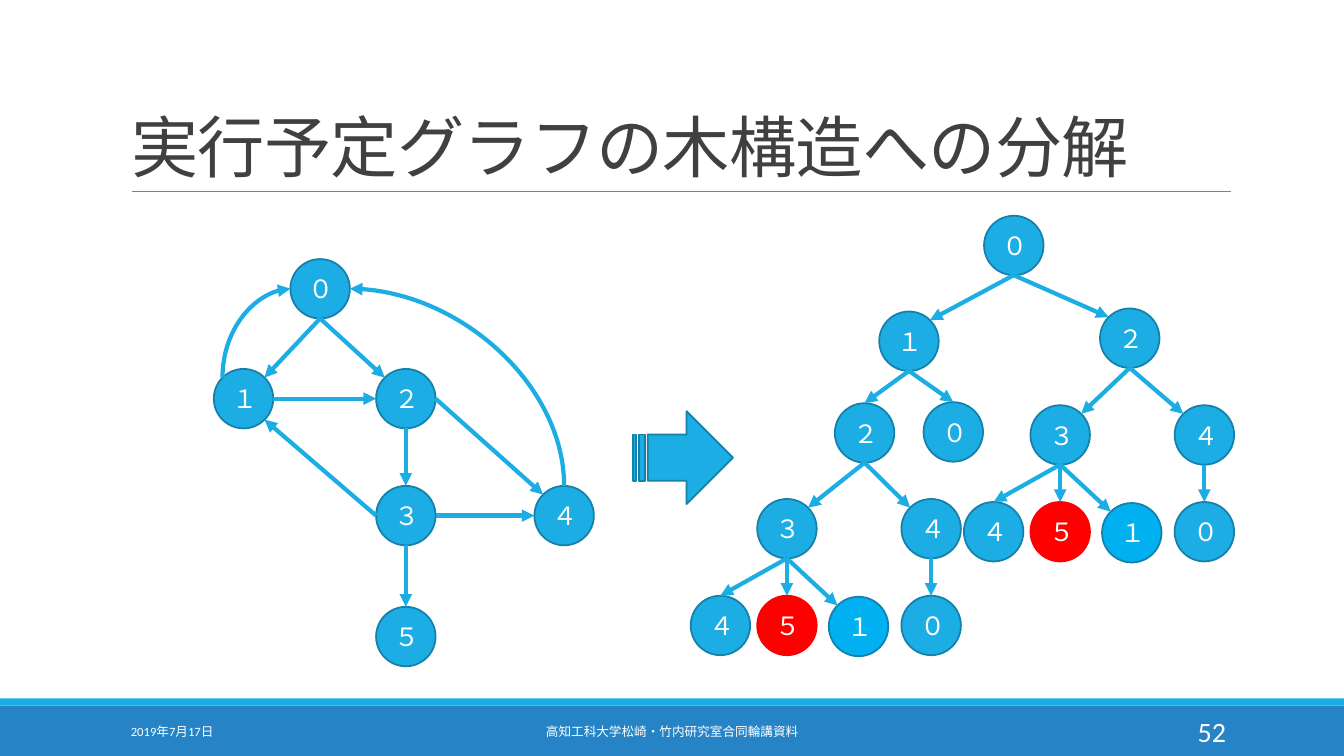
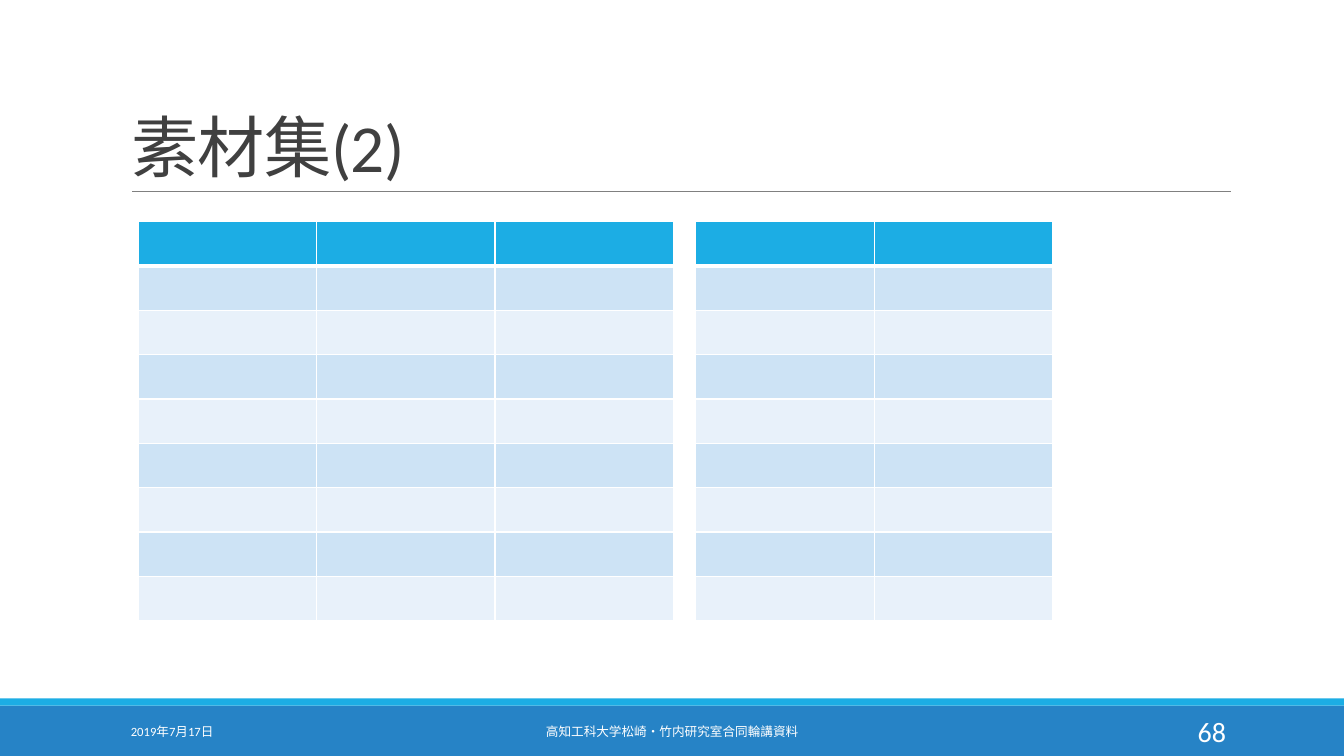
import math
from dataclasses import dataclass

import pptx
import pptx.util
import pptx.dml.color
import pptx.enum.shapes
import pptx.enum.text
import pptx.oxml
import pptx.oxml.ns
from lxml import etree

Inches, Pt = pptx.util.Inches, pptx.util.Pt
Shape = pptx.enum.shapes.MSO_SHAPE
Link = pptx.enum.shapes.MSO_CONNECTOR
Align = pptx.enum.text.PP_ALIGN
Anchor = pptx.enum.text.MSO_ANCHOR
qn = pptx.oxml.ns.qn


@dataclass(frozen=True)
class Theme:
    font: str = "Calibri"
    blue: str = "1CADE4"
    edge: str = "1580A9"
    band: str = "2683C6"
    sky: str = "00B0F0"
    red: str = "FF0000"
    white: str = "FFFFFF"
    ink: str = "404040"
    rule: str = "808080"
    dark: str = "CDE3F5"
    light: str = "E8F1FA"
    title: int = 48
    label: int = 18
    small: int = 9
    page: int = 20


T = Theme()
WIDE, HIGH = 13.33, 7.5
SIZE = 0.59
DATE = "2019年7月17日"
FOOT = "高知工科大学松崎・竹内研究室合同輪講資料"

# Connection sites of an ellipse, counterclockwise from the top
SITES = ["n", "nw", "w", "sw", "s", "se", "e", "ne"]

# Nodes: key -> (label, left, top, fill)
GRAPH = {
    "0": ("０", 2.88, 2.57, T.blue),
    "1": ("１", 2.12, 3.66, T.blue),
    "2": ("２", 3.73, 3.66, T.blue),
    "3": ("３", 3.73, 4.82, T.blue),
    "4": ("４", 5.3, 4.82, T.blue),
    "5": ("５", 3.73, 6.02, T.blue),
}
# Edges: from, site, to, site
GRAPH_EDGES = [
    ("0", "s", "2", "nw"), ("0", "s", "1", "ne"),
    ("1", "e", "2", "w"), ("3", "w", "1", "se"),
    ("2", "s", "3", "n"), ("3", "e", "4", "w"),
    ("2", "e", "4", "nw"), ("3", "s", "5", "n"),
]
BACK_EDGES = [("4", "n", "0", "e"), ("1", "nw", "0", "w")]

TREE = {
    "root": ("０", 9.76, 2.14, T.blue),
    "one": ("１", 8.72, 3.09, T.blue),
    "zero": ("０", 9.16, 3.99, T.blue),
    "L2": ("２", 8.28, 4, T.blue),
    "R2": ("２", 10.91, 3.06, T.blue),
}
TREE_EDGES = [
    ("root", "s", "R2", "nw"), ("root", "s", "one", "ne"),
    ("one", "s", "L2", "n"), ("one", "s", "zero", "n"),
]
# Both nodes "2" carry the same branch, placed from its node "3"
BRANCH = {
    "3": ("３", 0, 0, T.blue),
    "4": ("４", 1.43, 0, T.blue),
    "0": ("０", 1.43, 0.96, T.blue),
    "5": ("５", 0, 0.96, T.red),
    "1": ("１", 0.71, 0.97, T.sky),
    "leaf": ("４", -0.66, 0.96, T.blue),
}
BRANCH_EDGES = [
    ("2", "s", "4", "nw"), ("2", "s", "3", "ne"), ("4", "s", "0", "n"),
    ("3", "s", "1", "nw"), ("3", "s", "5", "n"), ("3", "s", "leaf", "n"),
]
BRANCH_AT = {"L": (7.51, 4.95), "R": (10.22, 4.02)}

# Tables: left, columns
GRIDS = [(1.37, 3), (6.9, 2)]
GRID_TOP, GRID_ROWS, COL, ROW = 2.2, 9, 1.77, 0.44


def rgb(code):
    return pptx.dml.color.RGBColor.from_string(code)


def style(frame, size, color, align, anchor):
    frame.word_wrap = True
    frame.vertical_anchor = anchor
    for para in frame.paragraphs:
        para.alignment = align
        for run in para.runs:
            run.font.name = T.font
            run.font.size = Pt(size)
            run.font.color.rgb = rgb(color)


def block(slide, kind, box, fill, edge=None):
    shape = slide.shapes.add_shape(kind, *map(Inches, box))
    shape.shadow.inherit = False
    shape.fill.solid()
    shape.fill.fore_color.rgb = rgb(fill)
    if edge:
        shape.line.color.rgb = rgb(edge)
        shape.line.width = Pt(1.25)
    else:
        shape.line.fill.background()
    return shape


def line(slide, kind, start, end, color, width):
    link = slide.shapes.add_connector(kind, *map(Inches, (*start, *end)))
    link.line.color.rgb = rgb(color)
    link.line.width = Pt(width)
    etree.SubElement(link._element.spPr, qn("a:effectLst"))
    return link


def note(slide, text, box, size, align):
    frame = slide.shapes.add_textbox(*map(Inches, box)).text_frame
    frame.text = text
    style(frame, size, T.white, align, Anchor.MIDDLE)


def base(deck, text, page):
    """Add a slide with title, rule, bands and footer."""
    slide = deck.slides.add_slide(deck.slide_layouts[5])
    block(slide, Shape.RECTANGLE, (0, 7, WIDE, 0.5), T.band)
    block(slide, Shape.RECTANGLE, (0, 6.93, WIDE, 0.07), T.blue)
    line(slide, Link.STRAIGHT, (1.31, 1.9), (12.21, 1.9), T.rule, 0.5)
    title = slide.shapes.title
    title.left, title.top, title.width, title.height = map(
        Inches, (1.2, 0.31, 11, 1.59))
    frame = title.text_frame
    frame.text = text
    frame.auto_size = pptx.enum.text.MSO_AUTO_SIZE.NONE
    style(frame, T.title, T.ink, Align.LEFT, Anchor.BOTTOM)
    para = frame.paragraphs[0]
    para.line_spacing = 0.85
    para.runs[0]._r.get_or_add_rPr().set("spc", "-50")
    note(slide, DATE, (1.2, 7.06, 2.7, 0.4), T.small, Align.LEFT)
    note(slide, FOOT, (4.03, 7.06, 5.27, 0.4), T.small, Align.CENTER)
    note(slide, page, (10.83, 7.06, 1.43, 0.4), T.page, Align.RIGHT)
    return slide


def point(node, site):
    """Return where a connection site lies on a node's rim."""
    angle = math.pi / 4 * SITES.index(site)
    half = SIZE / 2
    return (node[1] + half - half * math.sin(angle),
            node[2] + half - half * math.cos(angle))


def turn(start, end):
    """Return the unrotated ends and the rotation of an upward quarter curve."""
    (x1, y1), (x2, y2) = start, end
    midx, midy = (x1 + x2) / 2, (y1 + y2) / 2
    side = 1 if x2 > x1 else -1
    along, rise = side * abs(y2 - y1) / 2, abs(x2 - x1) / 2
    return ((midx + along, midy + rise), (midx - along, midy - rise),
            90 if side > 0 else 270)


def arrow(slide, nodes, discs, edge, curved=False):
    src, out, dst, into = edge
    start, end = point(nodes[src], out), point(nodes[dst], into)
    kind, angle = Link.STRAIGHT, 0
    if curved:
        kind = Link.CURVE
        start, end, angle = turn(start, end)
    link = line(slide, kind, start, end, T.blue, 3)
    etree.SubElement(link.line._get_or_add_ln(), qn("a:tailEnd"),
                     type="triangle")
    if curved:
        props = link._element.spPr
        props.find(qn("a:xfrm")).set("rot", str(angle * 60000))
        props.find(qn("a:prstGeom")).set("prst", "curvedConnector2")
    glue = link._element.find(".//" + qn("p:cNvCxnSpPr"))
    for tag, key, site in (("a:stCxn", src, out), ("a:endCxn", dst, into)):
        etree.SubElement(glue, qn(tag), id=str(discs[key].shape_id),
                         idx=str(SITES.index(site)))


def draw(slide, nodes, edges, curves=()):
    discs = {}
    for key, (text, left, top, fill) in nodes.items():
        edge = T.red if fill == T.red else T.edge
        disc = block(slide, Shape.OVAL, (left, top, SIZE, SIZE), fill, edge)
        disc.text_frame.text = text
        style(disc.text_frame, T.label, T.white, Align.CENTER, Anchor.MIDDLE)
        discs[key] = disc
    for edge in edges:
        arrow(slide, nodes, discs, edge)
    for edge in curves:
        arrow(slide, nodes, discs, edge, curved=True)


def grow():
    """Return the nodes and edges of the tree with both branches."""
    nodes, edges = dict(TREE), list(TREE_EDGES)
    for side, (left, top) in BRANCH_AT.items():
        for key, (text, dx, dy, fill) in BRANCH.items():
            nodes[side + key] = (text, left + dx, top + dy, fill)
        edges += [(side + src, out, side + dst, into)
                  for src, out, dst, into in BRANCH_EDGES]
    return nodes, edges


def border(cell, widths):
    props = cell._tc.get_or_add_tcPr()
    for tag, width in zip(("a:lnL", "a:lnR", "a:lnT", "a:lnB"), widths):
        side = etree.SubElement(props, qn(tag), w=str(Pt(width)))
        fill = etree.SubElement(side, qn("a:solidFill"))
        etree.SubElement(fill, qn("a:srgbClr"), val=T.white)


def grid(slide, left, cols):
    box = (left, GRID_TOP, cols * COL, GRID_ROWS * ROW)
    table = slide.shapes.add_table(GRID_ROWS, cols, *map(Inches, box)).table
    for col in table.columns:
        col.width = Inches(COL)
    for num, row in enumerate(table.rows):
        row.height = Inches(ROW)
        fill = T.blue if num == 0 else T.dark if num % 2 else T.light
        for cell in row.cells:
            border(cell, (1, 1, 3 if num == 1 else 1, 3 if num == 0 else 1))
            cell.fill.solid()
            cell.fill.fore_color.rgb = rgb(fill)


def main():
    deck = pptx.Presentation()
    deck.slide_width, deck.slide_height = Inches(WIDE), Inches(HIGH)

    slide = base(deck, "実行予定グラフの木構造への分解", "52")
    draw(slide, GRAPH, GRAPH_EDGES, BACK_EDGES)
    block(slide, Shape.STRIPED_RIGHT_ARROW, (6.28, 4.08, 0.99, 0.92),
          T.blue, T.edge)
    draw(slide, *grow())

    slide = base(deck, "素材集(2)", "68")
    for left, cols in GRIDS:
        grid(slide, left, cols)

    deck.save("out.pptx")


if __name__ == "__main__":
    main()
